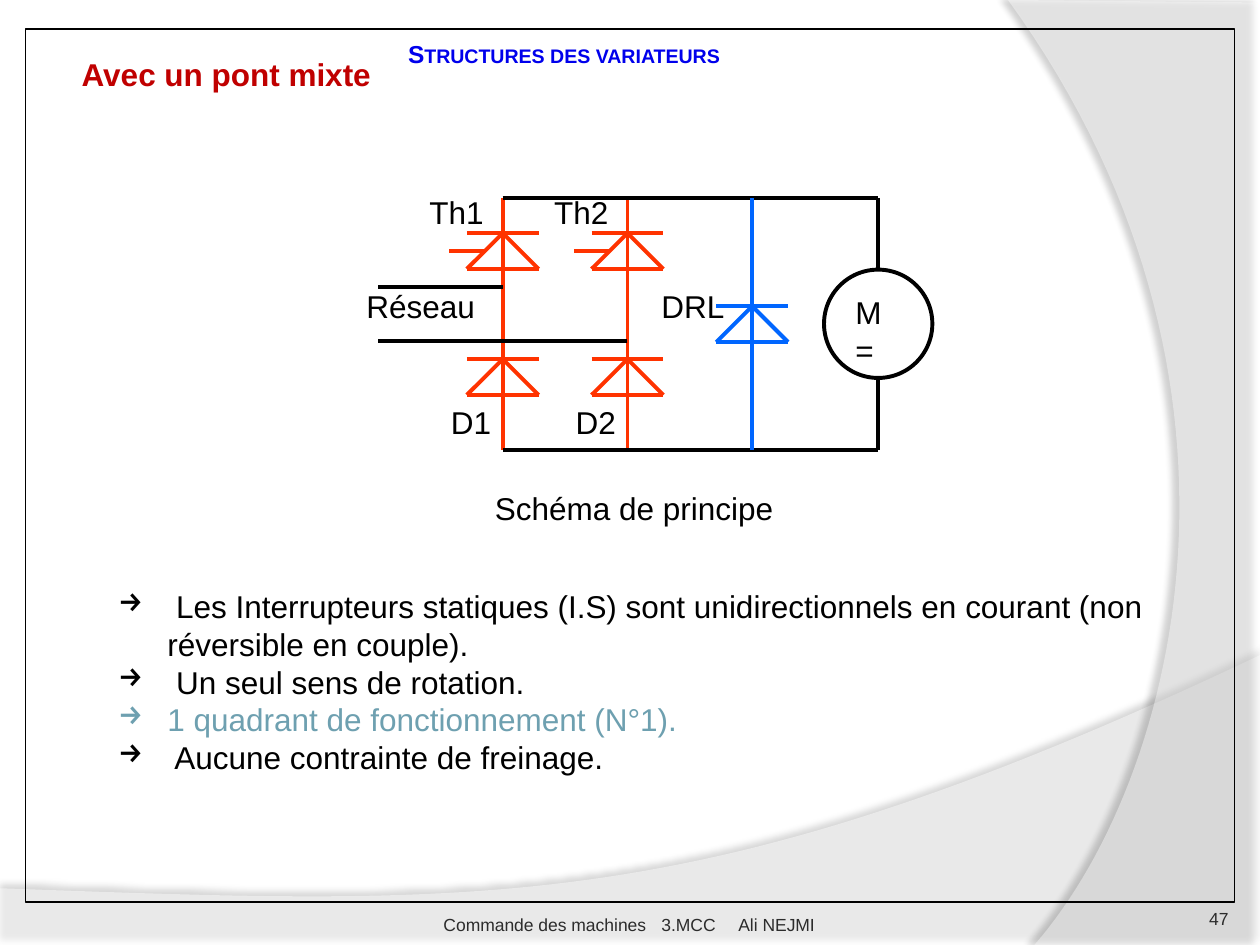
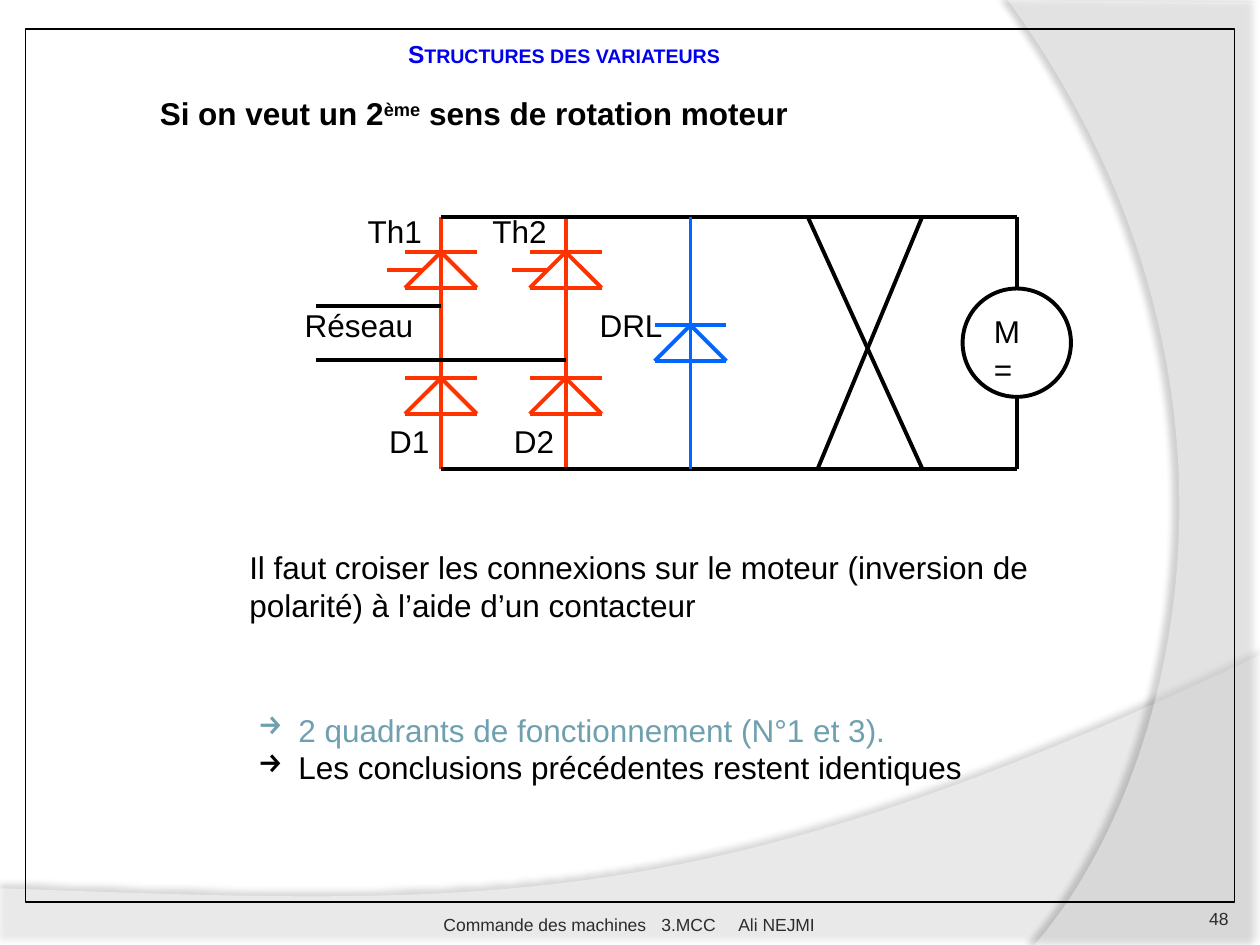
from dataclasses import dataclass

from lxml.etree import SubElement
from pptx import Presentation
from pptx.dml.color import RGBColor
from pptx.enum.shapes import MSO_CONNECTOR, MSO_SHAPE
from pptx.enum.text import MSO_ANCHOR, PP_ALIGN
from pptx.oxml.ns import qn
from pptx.util import Inches, Pt


@dataclass(frozen=True)
class Theme:
    font: str = "Arial"
    black: str = "000000"
    white: str = "FFFFFF"
    red: str = "C00000"
    heading: str = "0000EC"
    accent: str = "6EA0B0"
    bridge: str = "FF3300"
    freewheel: str = "0066FF"
    footer: str = "2C2C2C"
    body_size: float = 18
    heading_size: float = 14
    footer_size: float = 10
    wire: float = 2.25
    frame: float = 0.75


T = Theme()


def rgb(value):
    return RGBColor.from_string(value)


def add_text(shapes, box, paras, size=T.body_size, color=T.black, bold=False,
             small_caps=False, align=PP_ALIGN.LEFT, anchor=MSO_ANCHOR.TOP,
             insets=(0.1, 0.05, 0.1, 0.05), hang=0, tabs=()):
    """Each paragraph is a string or a list of (text, run overrides); hang adds arrow bullets."""
    tf = shapes.add_textbox(*map(Inches, box)).text_frame
    tf.word_wrap = True
    tf.vertical_anchor = anchor
    tf.margin_left, tf.margin_top, tf.margin_right, tf.margin_bottom = map(Inches, insets)
    for i, para in enumerate(paras):
        p = tf.add_paragraph() if i else tf.paragraphs[0]
        p.alignment = align
        pPr = p._p.get_or_add_pPr()
        if hang:
            pPr.set("marL", str(Inches(hang)))
            pPr.set("indent", str(-Inches(hang)))
            SubElement(pPr, qn("a:buChar")).set("char", "→")
        if tabs:
            stops = SubElement(pPr, qn("a:tabLst"))
            for stop in tabs:
                SubElement(stops, qn("a:tab"), pos=str(Inches(stop)), algn="l")
        for content, extra in [(para, {})] if isinstance(para, str) else para:
            r = p.add_run()
            r.text = content
            r.font.name, r.font.size, r.font.bold = T.font, Pt(size), bold
            r.font.color.rgb = rgb(extra.get("color", color))
            if small_caps:
                r.font._element.set("cap", "small")
            if extra.get("superscript"):
                r.font._element.set("baseline", "30000")


def add_wire(shapes, x1, y1, x2, y2, color=T.black):
    line = shapes.add_connector(MSO_CONNECTOR.STRAIGHT, *map(Inches, (x1, y1, x2, y2)))
    line.line.color.rgb = rgb(color)
    line.line.width = Pt(T.wire)
    SubElement(line._element.spPr, qn("a:effectLst"))


def add_outline(shapes, kind, box, width, fill=None):
    sp = shapes.add_shape(kind, *map(Inches, box))
    sp.shadow.inherit = False
    if fill:
        sp.fill.solid()
        sp.fill.fore_color.rgb = rgb(fill)
    else:
        sp.fill.background()
    sp.line.color.rgb = rgb(T.black)
    sp.line.width = Pt(width)


def bezier(p0, p1, p2, p3, steps=60):
    for t in (i / steps for i in range(1, steps + 1)):
        u = 1 - t
        yield tuple(u**3 * a + 3 * u * u * t * b + 3 * u * t * t * c + t**3 * d
                    for a, b, c, d in zip(p0, p1, p2, p3))


def add_wave(shapes, corners, curve, opacity, shade, distance, direction):
    """Translucent white sheet whose last edge is curved, with a soft shadow."""
    points = [tuple(map(Inches, pt)) for pt in [*corners, *bezier(corners[-1], *curve)]]
    builder = shapes.build_freeform(*points[0], scale=1.0)
    builder.add_line_segments(points[1:], close=True)
    sp = builder.convert_to_shape()
    sp.line.fill.background()
    sp.fill.solid()
    sp.fill.fore_color.rgb = rgb(T.white)
    sp.shadow.inherit = False
    spPr = sp._element.spPr
    fill = spPr.find(qn("a:solidFill")).find(qn("a:srgbClr"))
    SubElement(fill, qn("a:alpha"), val=str(opacity * 1000))
    shadow = SubElement(spPr.find(qn("a:effectLst")), qn("a:outerShdw"),
                        blurRad=str(Pt(4)), dist=str(Pt(distance)),
                        dir=str(direction * 60000), algn="ctr", rotWithShape="0")
    tint = SubElement(shadow, qn("a:srgbClr"), val=T.black)
    SubElement(tint, qn("a:alpha"), val=str(shade * 1000))


def add_base_slide(prs, number):
    """Slide with the waves, frame, heading and footer that all slides share."""
    shapes = prs.slides.add_slide(prs.slide_layouts[6]).shapes
    add_wave(shapes, [(0, 7.05), (0, 7.5), (10, 7.5), (10, 5.2)],
             [(5.59, 7.29), (3.91, 7.19), (0, 7.05)], 45, 35, 3.5, 270)
    add_wave(shapes, [(10, 0.02), (10, 7.5), (8.21, 7.5)],
             [(9.35, 6.19), (10.18, 3), (8, 0)], 40, 45, 4, 180)
    add_outline(shapes, MSO_SHAPE.RECTANGLE, (0.2, 0.23, 9.6, 6.93), T.frame)
    add_text(shapes, (3.14, 0.26, 2.8, 0.34), ["Structures des variateurs"],
             size=T.heading_size, color=T.heading, bold=True, small_caps=True)
    footer = dict(size=T.footer_size, color=T.footer, anchor=MSO_ANCHOR.BOTTOM)
    add_text(shapes, (3.52, 7.02, 3.17, 0.4), ["Commande des machines\t3.MCC\tAli NEJMI"],
             insets=(0, 0.05, 0, 0), tabs=(1.73, 2.34), **footer)
    add_text(shapes, (8.92, 7.02, 0.83, 0.4), [str(number)],
             insets=(0, 0.05, 0, 0.05), align=PP_ALIGN.RIGHT, **footer)
    return shapes


def add_diode(shapes, x, y, color, gate=False):
    """Upward diode with its tip at (x, y); a gate makes it a thyristor."""
    half, height = 0.285, 0.285
    base = y + height
    add_wire(shapes, x - half, y, x + half, y, color)
    add_wire(shapes, x, y, x - half, base, color)
    add_wire(shapes, x, y, x + half, base, color)
    add_wire(shapes, x - half, base, x + half, base, color)
    if gate:
        mid = y + height / 2
        add_wire(shapes, x - half / 2, mid, x - 1.5 * half, mid, color)


def add_motor(shapes, x, y, height):
    radius = 0.43
    mid = y + height / 2
    add_wire(shapes, x, y, x, y + height)
    add_outline(shapes, MSO_SHAPE.OVAL,
                (x - radius, mid - radius, 2 * radius, 2 * radius), T.wire, T.white)
    add_text(shapes, (x - 0.28, mid - 0.29, 0.57, 0.72), ["M", "="])


def add_mixed_bridge(slide_shapes, x, y, motor):
    """Bridge with its top left node at (x, y) and the motor at the given distance."""
    shapes = slide_shapes.add_group_shape().shapes
    height, pitch = 2, 0.99
    for i in range(2):
        leg = x + i * pitch
        add_wire(shapes, leg, y, leg, y + height, T.bridge)
        add_diode(shapes, leg, y + 0.28, T.bridge, gate=True)
        add_diode(shapes, leg, y + 1.28, T.bridge)
        add_text(shapes, (leg - 0.68, y - 0.09, 0.75, 0.43), [f"Th{i + 1}"])
        add_text(shapes, (leg - 0.51, y + 1.58, 0.71, 0.43), [f"D{i + 1}"])
    for i, supply in enumerate((0.71, 1.14)):
        add_wire(shapes, x + i * pitch, y + supply, x - pitch, y + supply)
    add_text(shapes, (x - 1.18, y + 0.66, 1.08, 0.46), ["Réseau"])
    for rail in (y, y + height):
        add_wire(shapes, x, rail, x + motor, rail)
    freewheel = x + 2 * pitch
    add_wire(shapes, freewheel, y, freewheel, y + height, T.freewheel)
    add_diode(shapes, freewheel, y + 0.86, T.freewheel)
    add_text(shapes, (x + 1.16, y + 0.66, 0.85, 0.43), ["DRL"])
    add_motor(shapes, x + motor, y, height)


def add_crossing(slide_shapes, x, y, width, height):
    """Crossed connections of the reversing contactor."""
    shapes = slide_shapes.add_group_shape().shapes
    add_wire(shapes, x, y, x + width, y + height)
    add_wire(shapes, x + width, y, x + 0.08, y + height)


def build_mixed_bridge_slide(prs):
    shapes = add_base_slide(prs, 47)
    add_text(shapes, (0.55, 0.39, 2.97, 0.51), ["Avec un pont mixte"],
             color=T.red, bold=True)
    add_mixed_bridge(shapes, 3.99, 1.57, motor=2.98)
    add_text(shapes, (3.83, 3.83, 2.6, 0.4), ["Schéma de principe"])
    add_text(shapes, (0.84, 4.61, 8.55, 1.62), [
        " Les Interrupteurs statiques (I.S) sont unidirectionnels en courant "
        "(non réversible en couple).",
        " Un seul sens de rotation.",
        [("1 quadrant de fonctionnement (N°1).", {"color": T.accent})],
        " Aucune contrainte de freinage.",
    ], hang=0.39)


def build_reversing_slide(prs):
    shapes = add_base_slide(prs, 48)
    add_text(shapes, (1.17, 0.7, 6.14, 0.5), [[
        ("Si on veut un 2", {}),
        ("ème", {"superscript": True}),
        (" sens de rotation moteur", {}),
    ]], bold=True)
    add_mixed_bridge(shapes, 3.5, 1.72, motor=4.57)
    add_crossing(shapes, 6.41, 1.72, 0.91, 2)
    add_text(shapes, (1.88, 4.3, 6.68, 0.9), [
        "Il faut croiser les connexions sur le moteur (inversion de polarité) "
        "à l’aide d’un contacteur"])
    add_text(shapes, (1.95, 5.59, 7.73, 0.91), [
        [("2 quadrants de fonctionnement (N°1 et 3).", {"color": T.accent})],
        "Les conclusions précédentes restent identiques",
    ], hang=0.32)


def main():
    prs = Presentation()
    prs.slide_width, prs.slide_height = Inches(10), Inches(7.5)
    build_mixed_bridge_slide(prs)
    build_reversing_slide(prs)
    prs.save("out.pptx")


if __name__ == "__main__":
    main()
